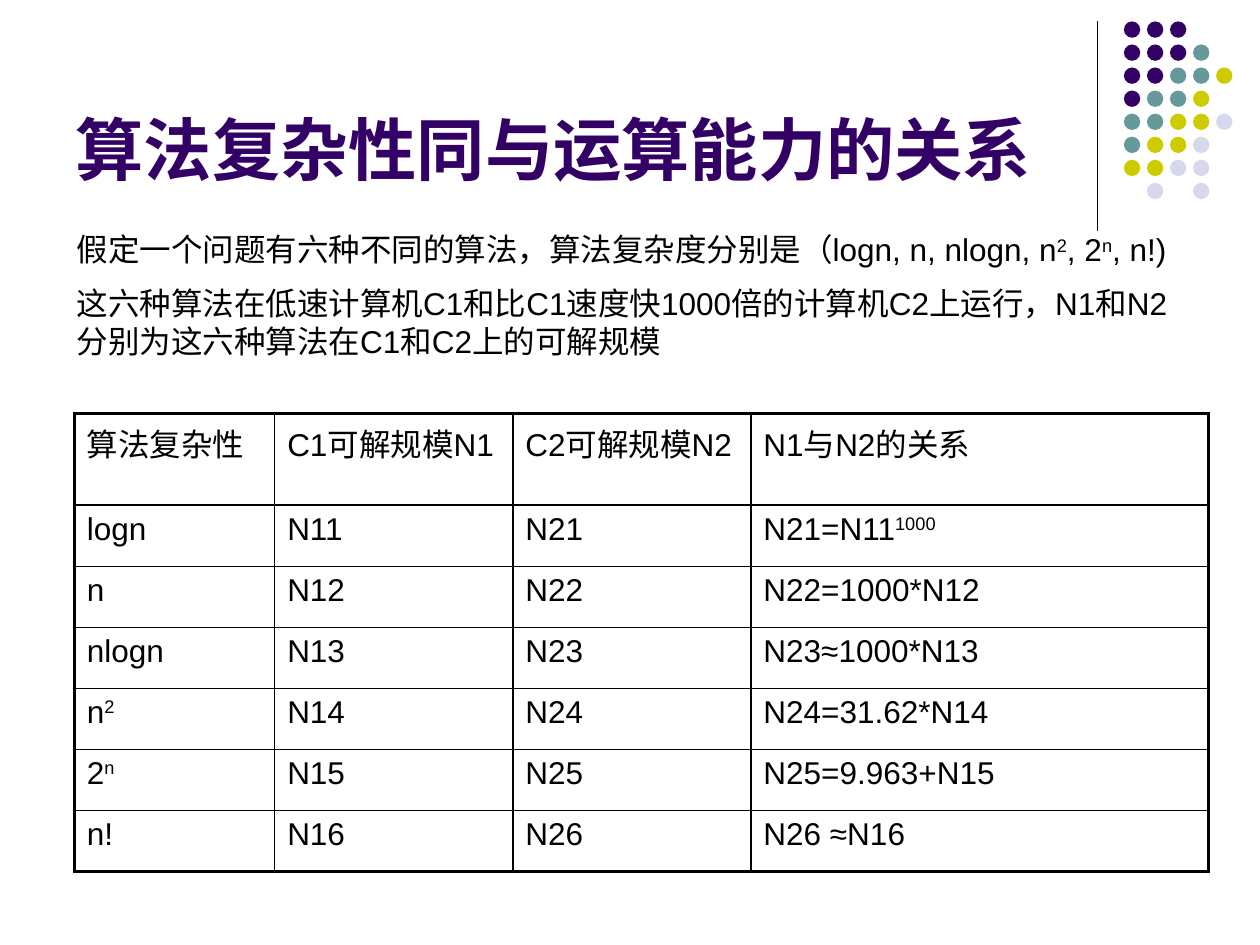
from lxml.etree import SubElement
from pptx import Presentation
from pptx.dml.color import RGBColor
from pptx.enum.shapes import MSO_CONNECTOR, MSO_SHAPE
from pptx.enum.text import MSO_ANCHOR, PP_ALIGN
from pptx.oxml.ns import qn
from pptx.util import Inches, Pt

HUES = {"P": "330066", "T": "669999", "Y": "CCCC00", "L": "D8D8EC", "ink": "000000"}


def write(para, text, size, hue, bold=False):
    """Fill a paragraph; parts between ^ marks are raised."""
    for i, part in enumerate(text.split("^")):
        if not part:
            continue
        run = para.add_run()
        run.text = part
        font = run.font
        font.name, font.size, font.bold = "Arial", Pt(size), bold
        font.color.rgb = RGBColor.from_string(HUES[hue])
        if i % 2:
            run._r.get_or_add_rPr().set("baseline", "30000")


def edge(cell, side, width):
    """Draw one border of a table cell."""
    line = SubElement(cell._tc.get_or_add_tcPr(), qn("a:ln" + side), w=str(Pt(width)))
    fill = SubElement(line, qn("a:solidFill"))
    SubElement(fill, qn("a:srgbClr"), val=HUES["ink"])


deck = Presentation()
deck.slide_width, deck.slide_height = Inches(10), Inches(7.5)
slide = deck.slides.add_slide(deck.slide_layouts[5])
shapes = slide.shapes

# Rule beside the dots
rule = shapes.add_connector(
    MSO_CONNECTOR.STRAIGHT, Inches(8.71), Inches(0.17), Inches(8.71), Inches(1.83))
rule.line.color.rgb = RGBColor.from_string(HUES["ink"])
rule.line.width = Pt(0.75)
SubElement(rule._element.spPr, qn("a:effectLst"))

# Dot pattern, one letter per colour
dots = ["PPP", "PPPT", "PPTTY", "PTTY", "TTYYL", "TYYL", "YYLL", " L L"]
step = 0.183
group = shapes.add_group_shape()
for row, marks in enumerate(dots):
    for col, mark in enumerate(marks):
        if mark == " ":
            continue
        dot = group.shapes.add_shape(
            MSO_SHAPE.OVAL, Inches(8.92 + col * step), Inches(0.17 + row * step),
            Inches(0.13), Inches(0.13))
        dot.shadow.inherit = False
        dot.fill.solid()
        dot.fill.fore_color.rgb = RGBColor.from_string(HUES[mark])
        dot.line.fill.background()

# Title
title = shapes.title
title.left, title.top = Inches(0.5), Inches(0.13)
title.width, title.height = Inches(8.25), Inches(1.42)
title.text_frame.vertical_anchor = MSO_ANCHOR.BOTTOM
head = title.text_frame.paragraphs[0]
head.alignment = PP_ALIGN.LEFT
write(head, "算法复杂性同与运算能力的关系", 39, "P", True)

# Introduction
intro = shapes.add_textbox(Inches(0.51), Inches(1.78), Inches(8.98), Inches(1.15))
frame = intro.text_frame
frame.word_wrap = True
write(frame.paragraphs[0],
      "假定一个问题有六种不同的算法，算法复杂度分别是（logn, n, nlogn, n^2^, 2^n^, n!)",
      18, "ink")
para = frame.add_paragraph()
para.space_before = Pt(9)
write(para, "这六种算法在低速计算机C1和比C1速度快1000倍的计算机C2上运行，"
      "N1和N2分别为这六种算法在C1和C2上的可解规模", 18, "ink")

# Table of solvable sizes
costs = [
    ("logn", "N21=N11^1000^"),
    ("n", "N22=1000*N12"),
    ("nlogn", "N23≈1000*N13"),
    ("n^2^", "N24=31.62*N14"),
    ("2^n^", "N25=9.963+N15"),
    ("n!", "N26 ≈N16"),
]
rows = [("算法复杂性", "C1可解规模N1", "C2可解规模N2", "N1与N2的关系")]
rows += [(cost, f"N1{i}", f"N2{i}", link) for i, (cost, link) in enumerate(costs, 1)]
wide = [1.59, 1.89, 1.89, 3.63]
tall = [0.73] + [0.485] * len(costs)
table = shapes.add_table(len(rows), len(wide), Inches(0.59), Inches(3.28),
                         Inches(sum(wide)), Inches(sum(tall))).table
table.first_row = table.horz_banding = False
for col, width in zip(table.columns, wide):
    col.width = Inches(width)
for r, texts in enumerate(rows):
    table.rows[r].height = Inches(tall[r])
    for c, text in enumerate(texts):
        cell = table.cell(r, c)
        write(cell.text_frame.paragraphs[0], text, 18, "ink")
        outer = {"L": c == 0, "R": c == len(wide) - 1,
                 "T": r == 0, "B": r == len(rows) - 1}
        for side, thick in outer.items():
            edge(cell, side, 2.25 if thick else 1)
        cell.fill.background()

deck.save("out.pptx")
